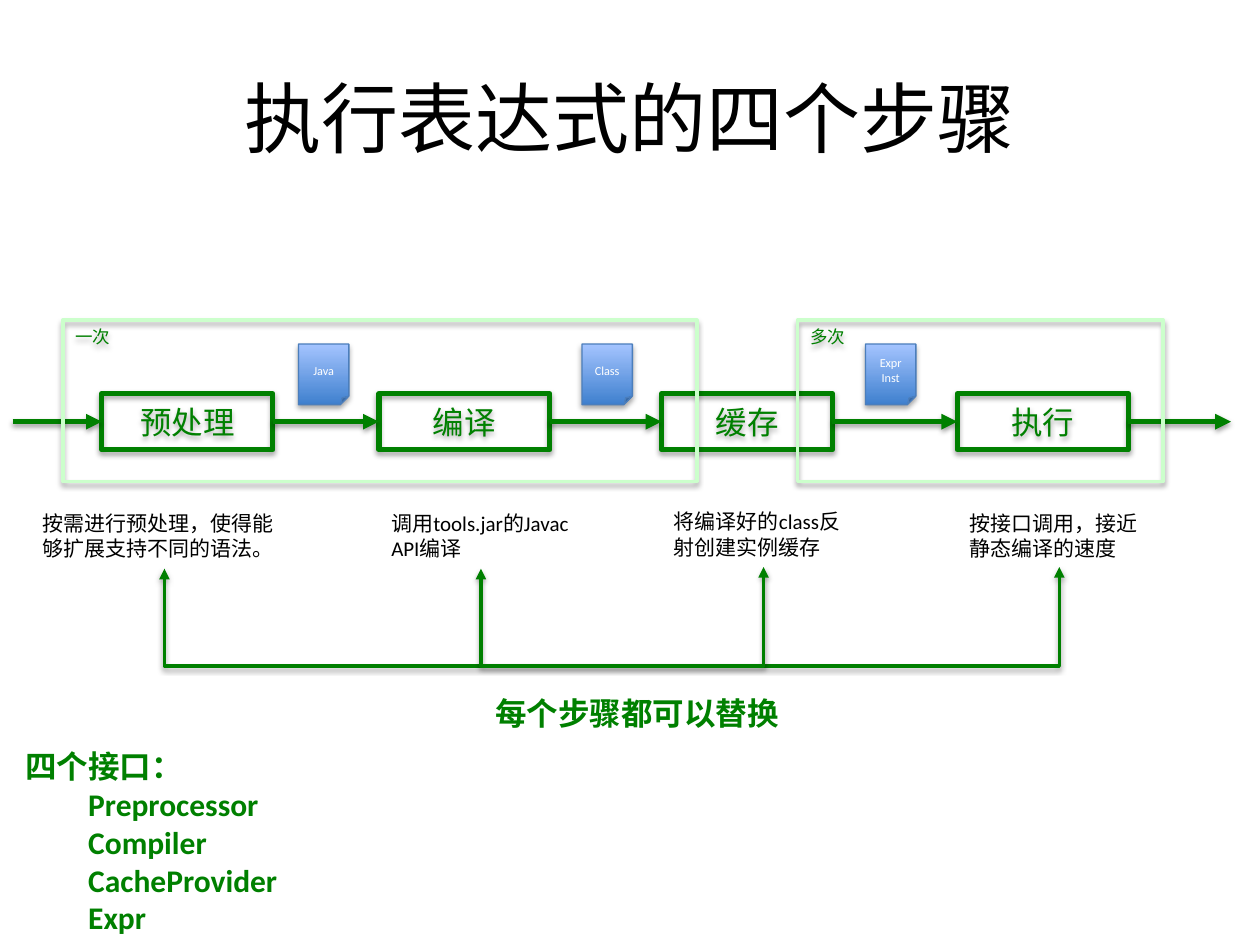
from pptx import Presentation
from pptx.dml.color import RGBColor
from pptx.enum.shapes import MSO_CONNECTOR as Link, MSO_SHAPE as Preset
from pptx.enum.text import MSO_ANCHOR as Anchor, MSO_AUTO_SIZE as Fit, PP_ALIGN as Align
from pptx.oxml.ns import qn
from pptx.util import Pt
from lxml.etree import SubElement

GREEN, PALE, BLACK, WHITE = "008000", "CCFFCC", "000000", "FFFFFF"
STEP_TOP, STEP_WIDTH, STEP_HEIGHT = 225, 97.7, 32
AXIS = STEP_TOP + STEP_HEIGHT / 2
STEPS = [("预处理", 58.2), ("编译", 216.5), ("缓存", 378), ("执行", 547)]
NOTES = [
    ("按需进行预处理，使得能够扩展支持不同的语法。", 17.3, 288.3, 153.4),
    ("调用tools.jar的Javac API编译", 216.5, 288.3, 116.6),
    ("将编译好的class反射创建实例缓存", 378, 287.3, 116.6),
    ("按接口调用，接近静态编译的速度", 547, 288, 116.6),
]
FILES = [["Java"], ["Class"], ["Expr", "Inst"]]
INTERFACES = ["Preprocessor", "Compiler", "CacheProvider", "Expr"]


def colour(value):
    """Turn a hex string into a colour."""
    return RGBColor.from_string(value)


def add_span(para, text, size, value, bold=False):
    """Add one formatted run to a paragraph."""
    span = para.add_run()
    span.text = text
    span.font.name = "Calibri"
    span.font.size = Pt(size)
    span.font.bold = bold
    span.font.color.rgb = colour(value)


def add_shadow(item, opacity, distance):
    """Give a shape or connector a soft shadow falling downwards."""
    properties = item.element.spPr
    effects = properties.find(qn("a:effectLst"))
    if effects is None:
        effects = SubElement(properties, qn("a:effectLst"))
    shadow = SubElement(effects, qn("a:outerShdw"), blurRad=str(Pt(3.1)),
                        dist=str(Pt(distance)), dir="5400000", rotWithShape="0")
    tone = SubElement(shadow, qn("a:srgbClr"), val=BLACK)
    SubElement(tone, qn("a:alpha"), val=str(opacity * 1000))


def add_box(page, preset, place, line, weight):
    """Add an unfilled, outlined shape with a shadow."""
    box = page.shapes.add_shape(preset, *map(Pt, place))
    box.fill.background()
    box.line.color.rgb = colour(line)
    box.line.width = Pt(weight)
    box.shadow.inherit = False
    add_shadow(box, 35, 1.8)
    return box


def add_step(page, text, left):
    """Add one step of the process."""
    place = (left, STEP_TOP, STEP_WIDTH, STEP_HEIGHT)
    box = add_box(page, Preset.RECTANGLE, place, GREEN, 3)
    para = box.text_frame.paragraphs[0]
    para.alignment = Align.CENTER
    add_span(para, text, 18, GREEN)
    return box


def add_frame(page, text, left, width):
    """Add a pale frame around steps that run equally often."""
    box = add_box(page, Preset.RECTANGLE, (left, 182.9, width, 92.2), PALE, 2)
    box.text_frame.vertical_anchor = Anchor.TOP
    para = box.text_frame.paragraphs[0]
    para.alignment = Align.LEFT
    add_span(para, text, 10, GREEN)


def add_file(page, lines, left):
    """Add a folded blue sheet naming what a step hands on."""
    box = add_box(page, Preset.FOLDED_CORNER, (left, 196.6, 28.8, 34.6), "4B7EBC", 0.75)
    box.fill.gradient()
    box.fill.gradient_angle = 90
    for stop, value in zip(box.fill.gradient_stops, ("3F80CE", "A4C4FF")):
        stop.color.rgb = colour(value)
    frame = box.text_frame
    frame.margin_left = frame.margin_right = Pt(0)
    for index, text in enumerate(lines):
        para = frame.add_paragraph() if index else frame.paragraphs[0]
        para.alignment = Align.CENTER
        add_span(para, text, 7, WHITE)


def add_text(page, text, place, size, value, bold=False, wrap=True):
    """Add a text box that grows with its text."""
    box = page.shapes.add_textbox(*map(Pt, place))
    box.text_frame.word_wrap = wrap
    box.text_frame.auto_size = Fit.SHAPE_TO_FIT_TEXT
    para = box.text_frame.paragraphs[0]
    para.alignment = Align.LEFT if wrap else Align.CENTER
    add_span(para, text, size, value, bold)


def style_link(link, weight, ends):
    """Set the line, arrowheads and shadow of a connector."""
    link.line.color.rgb = colour(GREEN)
    link.line.width = Pt(weight)
    outline = link.element.spPr.find(qn("a:ln"))
    for end in ends:
        SubElement(outline, qn("a:" + end), type="triangle")
    add_shadow(link, 38, 1.6)


def add_arrow(page, start, finish, source=None, target=None):
    """Add an arrow along the process axis, joined to its steps."""
    link = page.shapes.add_connector(Link.STRAIGHT, Pt(start), Pt(AXIS), Pt(finish), Pt(AXIS))
    if source is not None:
        link.begin_connect(source, 3)
    if target is not None:
        link.end_connect(target, 1)
    style_link(link, 3, ["tailEnd"])


def add_bracket(page, left, right, top, drop):
    """Add a U-shaped connector with an arrowhead on both upper ends."""
    rise, span = 1, right - left
    x = (left + right - rise) / 2
    y = top + (rise - span) / 2
    link = page.shapes.add_connector(Link.ELBOW, Pt(x), Pt(y), Pt(x + rise), Pt(y + span))
    properties = link.element.spPr
    properties.find(qn("a:xfrm")).set("rot", "5400000")
    geometry = properties.find(qn("a:prstGeom"))
    guides = geometry.find(qn("a:avLst"))
    if guides is None:
        guides = SubElement(geometry, qn("a:avLst"))
    SubElement(guides, qn("a:gd"), name="adj1", fmla=f"val {round(drop / rise * 100000)}")
    style_link(link, 2, ["headEnd", "tailEnd"])


def fill_interfaces(body):
    """Place the list of interfaces in the body placeholder."""
    body.left, body.top, body.width, body.height = map(Pt, (7.2, 423.4, 176.4, 116.6))
    frame = body.text_frame
    frame.auto_size = Fit.SHAPE_TO_FIT_TEXT
    for index, text in enumerate(["四个接口：", *INTERFACES]):
        para = frame.add_paragraph() if index else frame.paragraphs[0]
        para.level = min(index, 1)
        para.space_before = Pt(0)
        layout = para._p.get_or_add_pPr()
        layout.set("marL", str(Pt(36 * para.level)))
        layout.set("indent", "0")
        SubElement(layout, qn("a:buNone"))
        add_span(para, text, 18, GREEN, True)


def main():
    """Build the slide and save it."""
    deck = Presentation()
    deck.slide_width, deck.slide_height = Pt(720), Pt(540)
    page = deck.slides.add_slide(deck.slide_layouts[1])
    title, body = page.placeholders
    title.left, title.top, title.width, title.height = map(Pt, (36, 21.6, 648, 90))
    add_span(title.text_frame.paragraphs[0], "执行表达式的四个步骤", 44, BLACK)
    fill_interfaces(body)

    steps = [add_step(page, text, left) for text, left in STEPS]
    starts = [7.2] + [left + STEP_WIDTH for text, left in STEPS]
    finishes = [left for text, left in STEPS] + [703.4]
    for start, finish, source, target in zip(starts, finishes, [None, *steps], [*steps, None]):
        add_arrow(page, start, finish, source, target)
    add_frame(page, "一次", 36, 362.2)
    add_frame(page, "多次", 455.8, 208.8)
    for text, left, top, width in NOTES:
        add_text(page, text, (left, top, width, 36), 12, BLACK)
    centres = [left + width / 2 for text, left, top, width in NOTES]
    add_bracket(page, centres[0], centres[3], 324, 56.9)
    add_bracket(page, centres[1], centres[2], 324, 56.9)
    add_text(page, "每个步骤都可以替换", (274.3, 393.1, 179.3, 28.8), 18, GREEN, True, False)
    for index, lines in enumerate(FILES):
        add_file(page, lines, 170.6 + 162 * index)
    deck.save("out.pptx")


if __name__ == "__main__":
    main()
